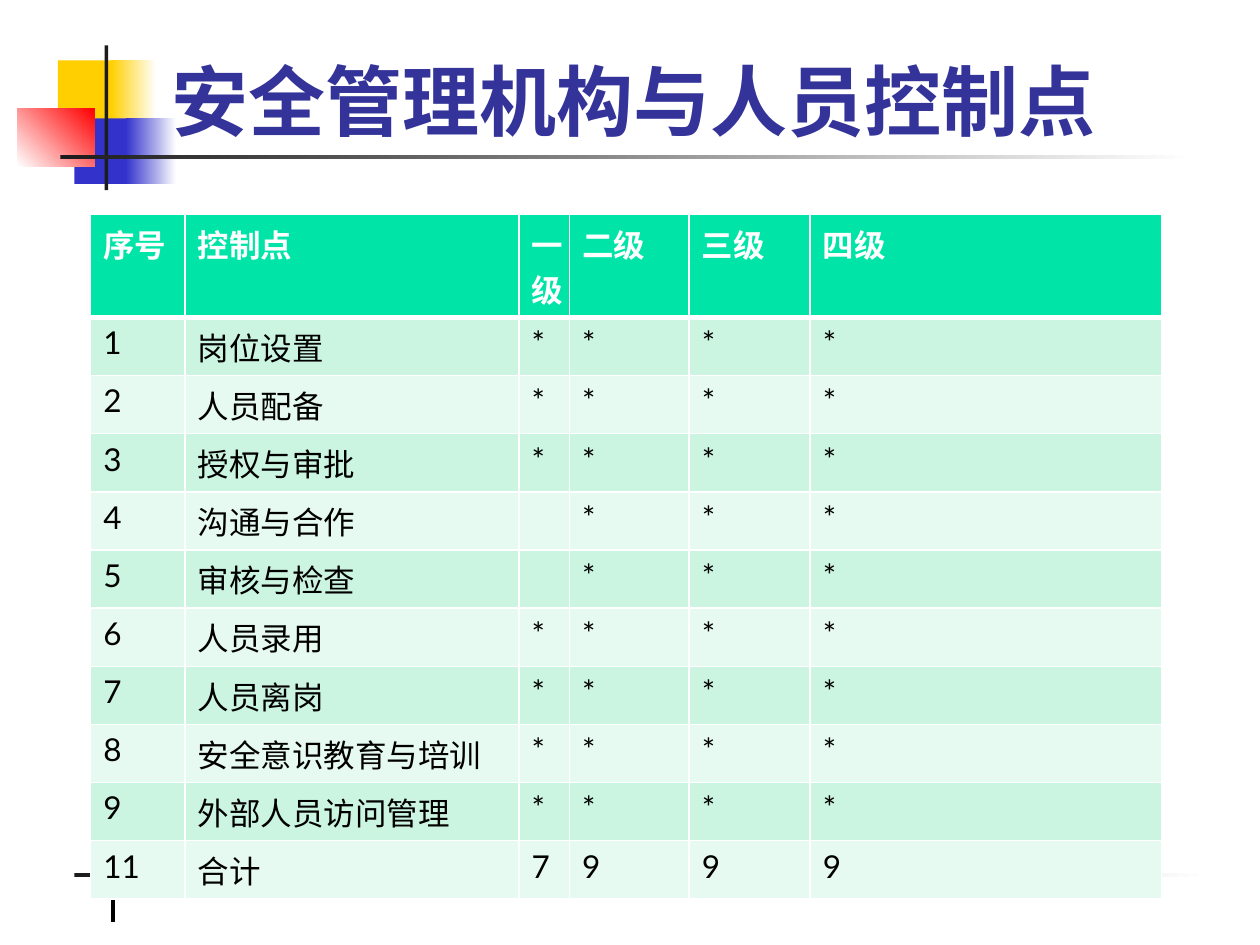
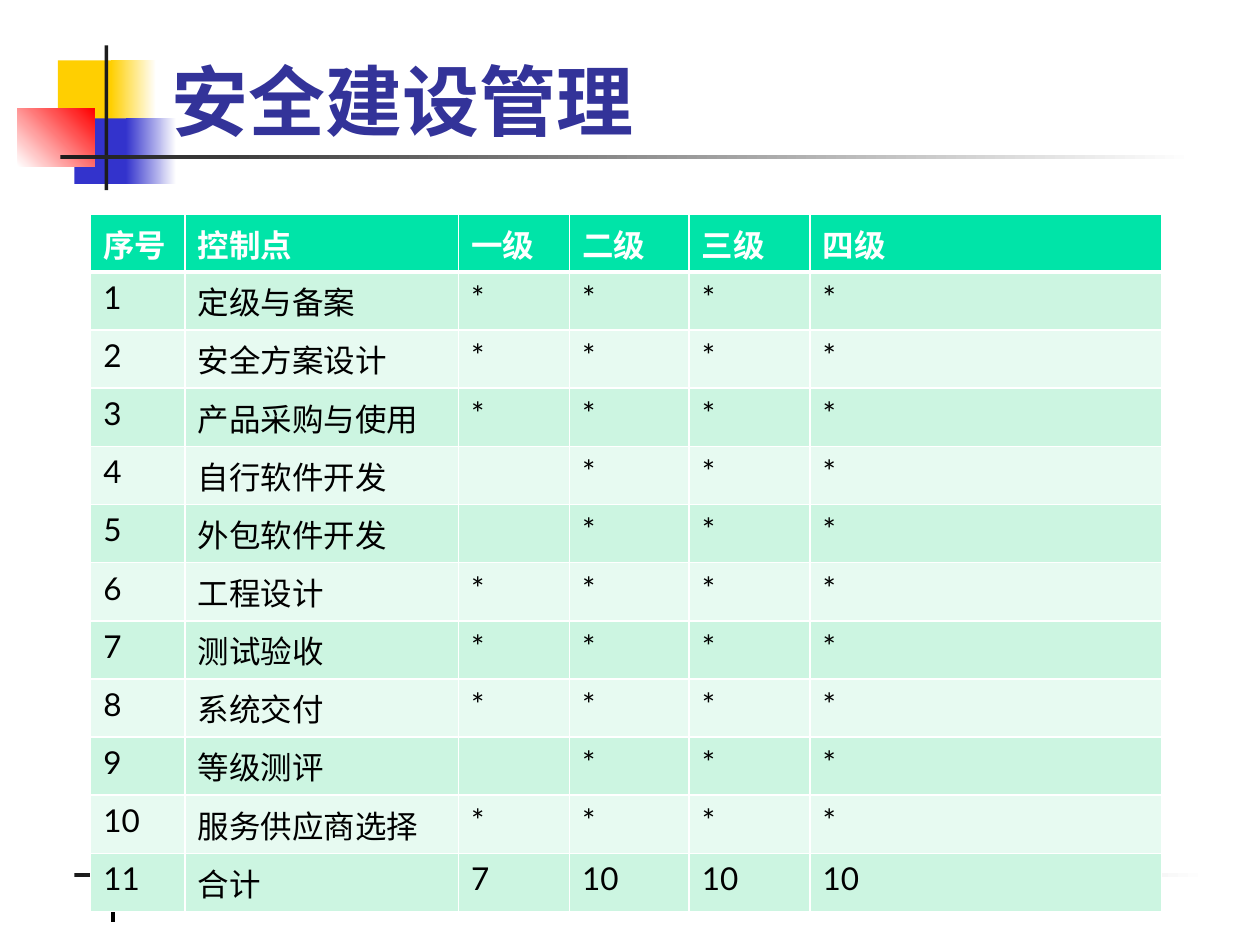
from collections import namedtuple

from lxml import etree
from pptx import Presentation
from pptx.dml.color import RGBColor
from pptx.enum.lang import MSO_LANGUAGE_ID as LANG
from pptx.enum.shapes import MSO_CONNECTOR, MSO_SHAPE
from pptx.enum.text import MSO_ANCHOR
from pptx.oxml.ns import qn
from pptx.util import Inches, Pt

Box = namedtuple("Box", "x y w h")

WHITE = RGBColor(0xFF, 0xFF, 0xFF)
BLACK = RGBColor(0, 0, 0)
INK = RGBColor(0x1C, 0x1C, 0x1C)
YELLOW = RGBColor(0xFF, 0xCF, 0x01)
BLUE = RGBColor(0x33, 0x33, 0xCC)
RED = RGBColor(0xFF, 0, 0)
NAVY = RGBColor(0x33, 0x33, 0x99)
GREEN = RGBColor(0, 0xE4, 0xA8)
BANDS = (RGBColor(0xE7, 0xFA, 0xF1), RGBColor(0xCC, 0xF5, 0xE1))

COLS, ROWS = 10, 7.5
RULE_W, RULE_H = 9, 0.03
BODY_ROW = Pt(33.25)

EMBLEM = Box(0.14, 0.36, 9.34, 1.15)
FOOTER = Box(0.59, 6.77, 9, 0.55)
TITLE = Box(1.26, 0.16, 8.52, 1.05)
TABLE = Box(0.72, 1.7, 8.5, 5.54)

TITLE_FMT = dict(name="Times New Roman", size=Pt(44), bold=True,
                 language_id=LANG.SIMPLIFIED_CHINESE)
CELL_FMT = dict(name="Lato", size=Pt(18), language_id=LANG.SIMPLIFIED_CHINESE)

HEADER = ("序号", "控制点", "一级", "二级", "三级", "四级")
ALL_LEVELS = ("*",) * 4
FROM_LEVEL_2 = ("",) + ("*",) * 3

SLIDES = [
    dict(
        title="安全管理机构与人员控制点",
        widths=(0.75, 2.65, 0.4, 0.95, 0.96, 2.79),
        header_row=Pt(59),
        points=("岗位设置", "人员配备", "授权与审批", "沟通与合作", "审核与检查",
                "人员录用", "人员离岗", "安全意识教育与培训", "外部人员访问管理"),
        not_in_level_1=("沟通与合作", "审核与检查"),
        total=("11", "合计", "7", "9", "9", "9"),
    ),
    dict(
        title="安全建设管理",
        widths=(0.75, 2.17, 0.88, 0.95, 0.96, 2.79),
        header_row=Pt(33),
        points=("定级与备案", "安全方案设计", "产品采购与使用", "自行软件开发",
                "外包软件开发", "工程设计", "测试验收", "系统交付", "等级测评",
                "服务供应商选择"),
        not_in_level_1=("自行软件开发", "外包软件开发", "等级测评"),
        total=("11", "合计", "7", "10", "10", "10"),
    ),
]


def set_font(font, fmt, color):
    for key, value in fmt.items():
        setattr(font, key, value)
    font.color.rgb = color


def add_block(s, box, x, y, w, h, start, end=None, angle=0):
    sp = s.shapes.add_shape(MSO_SHAPE.RECTANGLE, Inches(box.x + x),
                            Inches(box.y + y), Inches(w), Inches(h))
    sp.shadow.inherit = False
    sp.line.fill.background()
    if end is None:
        sp.fill.solid()
        sp.fill.fore_color.rgb = start
        return
    sp.fill.gradient()
    sp.fill.gradient_angle = angle
    for stop, color in zip(sp.fill.gradient_stops, (start, end)):
        stop.color.rgb = color


def add_emblem(s, box):
    add_block(s, box, 0.32, 0.12, 0.48, 0.52, YELLOW)
    add_block(s, box, 0.74, 0.12, 0.36, 0.52, YELLOW, WHITE)
    add_block(s, box, 0.45, 0.58, 0.46, 0.52, BLUE)
    add_block(s, box, 0.86, 0.58, 0.4, 0.52, BLUE, WHITE)
    add_block(s, box, 0, 0.5, 0.61, 0.46, WHITE, RED, 45)
    add_block(s, box, 0.69, 0, RULE_H, box.h, INK)
    add_block(s, box, 0.34, 0.87, RULE_W, RULE_H, INK, WHITE)


def add_footer(s, box):
    add_block(s, box, 0, 0.16, RULE_W, RULE_H, INK, WHITE)
    x = Inches(box.x + 0.31)
    tick = s.shapes.add_connector(MSO_CONNECTOR.STRAIGHT, x, Inches(box.y),
                                  x, Inches(box.y + box.h))
    tick.line.width = Pt(2.25)
    tick.line.color.rgb = BLACK
    etree.SubElement(tick._element.spPr, qn("a:effectLst"))


def add_title(s, box, text):
    tf = s.shapes.add_textbox(*map(Inches, box)).text_frame
    tf.word_wrap = True
    tf.vertical_anchor = MSO_ANCHOR.BOTTOM
    r = tf.paragraphs[0].add_run()
    r.text = text
    set_font(r.font, TITLE_FMT, NAVY)


def set_borders(cell, top, bottom):
    tc_pr = cell._tc.get_or_add_tcPr()
    sides = (("L", 1), ("R", 1), ("T", top), ("B", bottom))
    for i, (side, width) in enumerate(sides):
        ln = etree.Element(qn(f"a:ln{side}"), w=str(Pt(width)))
        fill = etree.SubElement(ln, qn("a:solidFill"))
        etree.SubElement(fill, qn("a:srgbClr"), val=str(WHITE))
        tc_pr.insert(i, ln)


def fill_cell(cell, text, row):
    is_header = row == 0
    cell.fill.solid()
    cell.fill.fore_color.rgb = GREEN if is_header else BANDS[row % 2]
    set_borders(cell, 3 if row == 1 else 1, 3 if is_header else 1)
    p = cell.text_frame.paragraphs[0]
    if text:
        r = p.add_run()
        r.text = text
        set_font(r.font, dict(CELL_FMT, bold=is_header),
                 WHITE if is_header else BLACK)
    else:
        set_font(p.font, CELL_FMT, BLACK)


def add_control_table(s, box, widths, header_row, points, not_in_level_1, total):
    body = [(str(n), point) + (FROM_LEVEL_2 if point in not_in_level_1 else ALL_LEVELS)
            for n, point in enumerate(points, 1)]
    rows = [HEADER, *body, total]
    table = s.shapes.add_table(len(rows), len(HEADER), *map(Inches, box)).table
    table.horz_banding = False
    for column, width in zip(table.columns, widths):
        column.width = Inches(width)
    for i, texts in enumerate(rows):
        table.rows[i].height = BODY_ROW if i else header_row
        for j, text in enumerate(texts):
            fill_cell(table.cell(i, j), text, i)


def add_control_slide(prs, title, **control_points):
    s = prs.slides.add_slide(prs.slide_layouts[6])
    add_emblem(s, EMBLEM)
    add_footer(s, FOOTER)
    add_title(s, TITLE, title)
    add_control_table(s, TABLE, **control_points)


def main():
    prs = Presentation()
    prs.slide_width, prs.slide_height = Inches(COLS), Inches(ROWS)
    for content in SLIDES:
        add_control_slide(prs, **content)
    prs.save("out.pptx")


if __name__ == "__main__":
    main()
